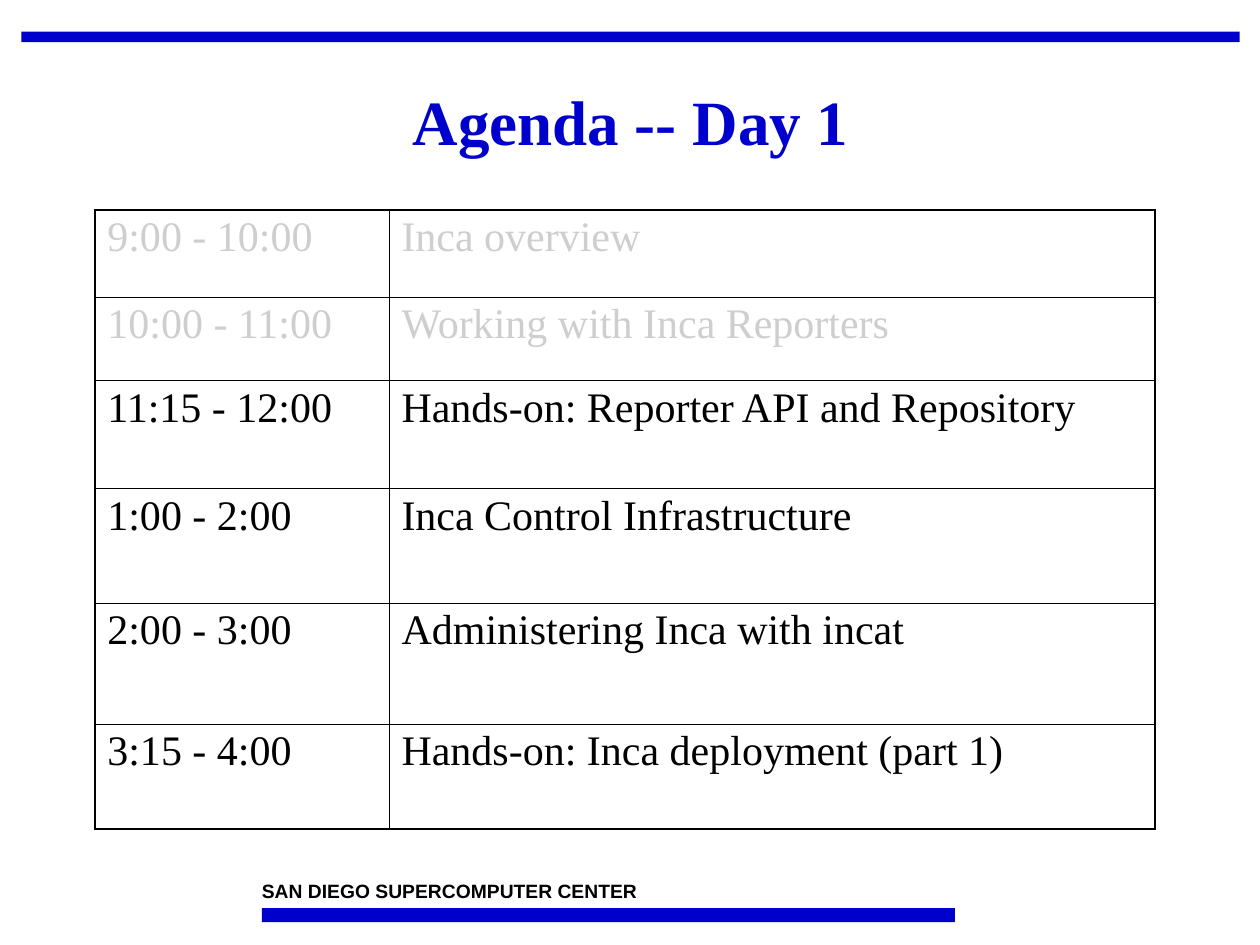
from dataclasses import dataclass

import pptx
import pptx.dml.color
import pptx.enum.shapes
import pptx.enum.text
import pptx.oxml.ns
import pptx.util
from lxml import etree
from pptx.util import Cm


@dataclass(frozen=True)
class Theme:
    blue: str = "0000CC"
    black: str = "000000"
    grey: str = "CECECE"
    serif: str = "Times New Roman"
    sans: str = "Arial"
    title_size: int = 36
    table_size: int = 24
    footer_size: int = 11
    outer_line: float = 1.08
    inner_line: float = 0.45


THEME = Theme()

# time, session, already finished
AGENDA = [
    ("9:00 - 10:00", "Inca overview", True),
    ("10:00 - 11:00", "Working with Inca Reporters", True),
    ("11:15 - 12:00", "Hands-on: Reporter API and Repository", False),
    ("1:00 - 2:00", "Inca Control Infrastructure", False),
    ("2:00 - 3:00", "Administering Inca with incat", False),
    ("3:15 - 4:00", "Hands-on: Inca deployment (part 1)", False),
]
COLUMN_WIDTHS = [5.93, 15.45]
ROW_HEIGHTS = [1.76, 1.68, 2.18, 2.31, 2.44, 2.11]


def rgb(color):
    return pptx.dml.color.RGBColor.from_string(color)


def add_run(paragraph, text, font_name, size, color, bold=False):
    run = paragraph.add_run()
    run.text = text
    run.font.name = font_name
    run.font.size = pptx.util.Pt(size)
    run.font.bold = bold
    run.font.color.rgb = rgb(color)


def add_bar(slide, left, top, width, height):
    bar = slide.shapes.add_shape(
        pptx.enum.shapes.MSO_SHAPE.RECTANGLE,
        Cm(left), Cm(top), Cm(width), Cm(height))
    bar.shadow.inherit = False
    bar.fill.solid()
    bar.fill.fore_color.rgb = rgb(THEME.blue)
    bar.line.fill.background()


def add_footer(slide, text):
    box = slide.shapes.add_textbox(Cm(5.28), Cm(17.73), Cm(9.53), Cm(0.46))
    frame = box.text_frame
    frame.word_wrap = True
    frame.margin_left = frame.margin_right = 0
    frame.margin_top = frame.margin_bottom = 0
    add_run(frame.paragraphs[0], text, THEME.sans, THEME.footer_size,
            THEME.black, bold=True)


def set_title(slide, text):
    title = slide.shapes.title
    title.left, title.top = Cm(0.43), Cm(1.07)
    title.width, title.height = Cm(24.56), Cm(2.9)
    frame = title.text_frame
    frame.vertical_anchor = pptx.enum.text.MSO_ANCHOR.MIDDLE
    paragraph = frame.paragraphs[0]
    paragraph.alignment = pptx.enum.text.PP_ALIGN.CENTER
    paragraph.line_spacing = 0.9
    add_run(paragraph, text, THEME.serif, THEME.title_size, THEME.blue,
            bold=True)


def set_borders(cell, outer_sides):
    """Draw all four cell borders, heavier on the table's outer sides."""
    properties = cell._tc.get_or_add_tcPr()
    for side in "LRTB":
        width = THEME.outer_line if side in outer_sides else THEME.inner_line
        line = etree.SubElement(
            properties, pptx.oxml.ns.qn(f"a:ln{side}"),
            w=str(int(pptx.util.Pt(width))))
        fill = etree.SubElement(line, pptx.oxml.ns.qn("a:solidFill"))
        etree.SubElement(fill, pptx.oxml.ns.qn("a:srgbClr"), val=THEME.black)


def add_agenda(slide):
    table = slide.shapes.add_table(
        len(AGENDA), len(COLUMN_WIDTHS), Cm(1.91), Cm(4.23),
        Cm(sum(COLUMN_WIDTHS)), Cm(sum(ROW_HEIGHTS))).table
    table.first_row = False
    table.horz_banding = False
    for column, width in zip(table.columns, COLUMN_WIDTHS):
        column.width = Cm(width)
    for row, height in zip(table.rows, ROW_HEIGHTS):
        row.height = Cm(height)

    last_row = len(AGENDA) - 1
    for row_index, (time, session, finished) in enumerate(AGENDA):
        color = THEME.grey if finished else THEME.black
        vertical_side = {0: "T", last_row: "B"}.get(row_index, "")
        for column_index, text in enumerate((time, session)):
            cell = table.cell(row_index, column_index)
            set_borders(cell, "LR"[column_index] + vertical_side)
            cell.fill.background()
            paragraph = cell.text_frame.paragraphs[0]
            paragraph.line_spacing = 0.95
            add_run(paragraph, text, THEME.serif, THEME.table_size, color)


def main():
    presentation = pptx.Presentation()
    presentation.slide_width = Cm(25.4)
    presentation.slide_height = Cm(19.05)
    slide = presentation.slides.add_slide(presentation.slide_layouts[5])
    add_bar(slide, 0.43, 0.64, 24.56, 0.21)
    add_bar(slide, 5.28, 18.31, 13.97, 0.28)
    add_footer(slide, "SAN DIEGO SUPERCOMPUTER CENTER")
    set_title(slide, "Agenda -- Day 1")
    add_agenda(slide)
    presentation.save("out.pptx")


if __name__ == "__main__":
    main()
